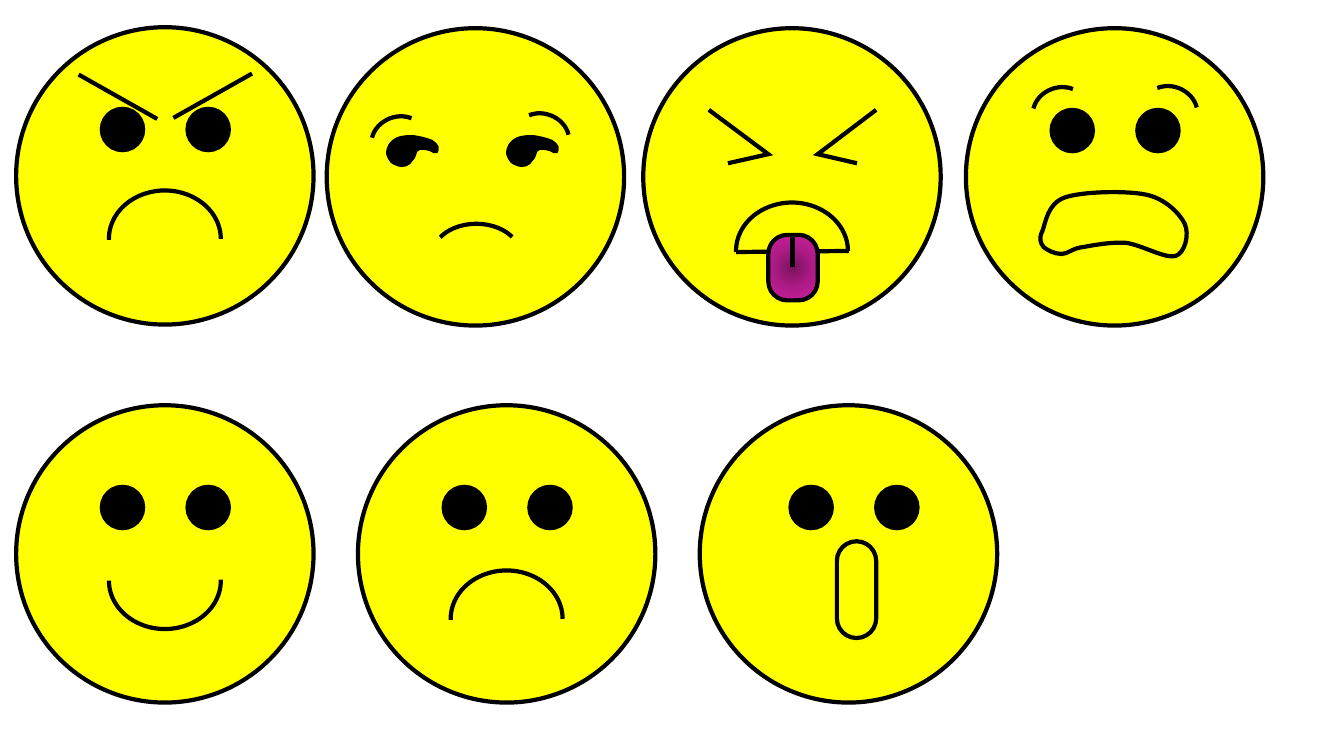
from math import cos, radians, sin

from lxml.etree import SubElement
from pptx import Presentation
from pptx.dml.color import RGBColor
from pptx.enum.shapes import MSO_CONNECTOR as LINE, MSO_SHAPE as SHAPE
from pptx.oxml import parse_xml
from pptx.oxml.ns import nsdecls, qn
from pptx.util import Inches, Pt

YELLOW, BLACK = "FFFF00", "000000"
TONGUE_STOPS = [(0, "7B135F"), (50, "AF1B87"), (100, "CF21A0")]
FACE_SIZE, EYE_SIZE, EYE_GAP = 2.95, 0.41, 0.85
MOUTH_SIZE, BROW_SIZE = (1.11, 0.96), (0.54, 0.46)
HALF_ARC, BROW_ARC, FROWN_ARC = (107.324, 0), (130.363, 200.208, 0), (123.699, 199.899)

SIDE_EYE = [
    (0.86, 1.06),
    (0.92, 1.07), (0.98, 1.08), (1.05, 1.11),
    (1.08, 1.13), (1.10, 1.15), (1.11, 1.17),
    (1.11, 1.18), (1.11, 1.20), (1.11, 1.21),
    (1.11, 1.23), (1.10, 1.24), (1.09, 1.24),
    (1.08, 1.24), (1.07, 1.24), (1.06, 1.24),
    (1.03, 1.22), (1.00, 1.21), (0.98, 1.21),
    (0.95, 1.20), (0.94, 1.21), (0.92, 1.21),
    (0.90, 1.22), (0.89, 1.23), (0.89, 1.25),
    (0.88, 1.28), (0.87, 1.31), (0.85, 1.32),
    (0.84, 1.34), (0.82, 1.36), (0.79, 1.37),
    (0.75, 1.38), (0.71, 1.38), (0.68, 1.36),
    (0.64, 1.35), (0.62, 1.32), (0.60, 1.28),
    (0.58, 1.24), (0.59, 1.20), (0.61, 1.16),
    (0.63, 1.12), (0.66, 1.10), (0.70, 1.08),
    (0.75, 1.06), (0.81, 1.06), (0.86, 1.06),
]
SCARED_MOUTH = [
    (0.76, 2.01),
    (0.79, 1.93), (0.81, 1.74), (0.98, 1.68),
    (1.15, 1.62), (1.58, 1.61), (1.78, 1.65),
    (1.98, 1.69), (2.12, 1.84), (2.17, 1.94),
    (2.22, 2.05), (2.17, 2.23), (2.08, 2.26),
    (1.98, 2.29), (1.74, 2.15), (1.59, 2.13),
    (1.44, 2.12), (1.28, 2.15), (1.17, 2.17),
    (1.06, 2.18), (1.01, 2.24), (0.95, 2.24),
    (0.88, 2.24), (0.80, 2.20), (0.77, 2.17),
    (0.74, 2.13), (0.72, 2.09), (0.76, 2.01),
]


def color(value):
    return RGBColor.from_string(value)


def draw_line(shape):
    shape.line.color.rgb = color(BLACK)
    shape.line.width = Pt(3)
    SubElement(shape._element.spPr.find(qn("a:ln")), qn("a:miter"), lim="800000")


def paint(shape, fill=None, outlined=True):
    shape.shadow.inherit = False
    if fill:
        shape.fill.solid()
        shape.fill.fore_color.rgb = color(fill)
    else:
        shape.fill.background()
    if outlined:
        draw_line(shape)
    else:
        shape.line.fill.background()


def turn(point, center, degrees):
    angle = radians(degrees)
    dx, dy = point[0] - center[0], point[1] - center[1]
    return (center[0] + dx * cos(angle) - dy * sin(angle),
            center[1] + dx * sin(angle) + dy * cos(angle))


class Face:
    def __init__(self, page, left, top):
        self.left, self.top = left, top
        self.shapes = page.shapes.add_group_shape().shapes
        self.add(SHAPE.OVAL, 0, 0, FACE_SIZE, FACE_SIZE, YELLOW)

    def point(self, x, y):
        return Inches(self.left + x), Inches(self.top + y)

    def add(self, kind, x, y, width, height, fill=None, adjust=(), rotation=0):
        shape = self.shapes.add_shape(kind, *self.point(x, y), Inches(width), Inches(height))
        for i, value in enumerate(adjust):
            shape.adjustments[i] = value
        shape.rotation = rotation
        paint(shape, fill)
        return shape

    def line(self, start, end):
        connector = self.shapes.add_connector(
            LINE.STRAIGHT, *self.point(*start), *self.point(*end))
        draw_line(connector)
        SubElement(connector._element.spPr, qn("a:effectLst"))

    def outline(self, points, closed=False):
        start, *rest = [self.point(*p) for p in points]
        builder = self.shapes.build_freeform(*start, scale=1.0)
        builder.add_line_segments(rest, close=closed)
        shape = builder.convert_to_shape()
        paint(shape)
        return shape

    def curve(self, points, x, y, width, height, rotation=0):
        shape = self.outline(points[::3], closed=True)
        shape.left, shape.top = self.point(x, y)
        shape.width, shape.height = Inches(width), Inches(height)
        shape.rotation = rotation
        center = (x + width / 2, y + height / 2)
        local = [turn(p, center, -rotation) for p in points]
        spots = [{"x": str(Inches(px - x)), "y": str(Inches(py - y))} for px, py in local]
        contour = next(shape._element.iter(qn("a:path")))
        contour.clear()
        contour.set("w", str(shape.width))
        contour.set("h", str(shape.height))
        SubElement(SubElement(contour, qn("a:moveTo")), qn("a:pt"), spots[0])
        for i in range(1, len(spots), 3):
            bend = SubElement(contour, qn("a:cubicBezTo"))
            for spot in spots[i:i + 3]:
                SubElement(bend, qn("a:pt"), spot)
        SubElement(contour, qn("a:close"))
        return shape

    def eyes(self, x=0.85):
        for left in (x, x + EYE_GAP):
            self.add(SHAPE.OVAL, left, 0.81, EYE_SIZE, EYE_SIZE, BLACK)

    def right_brow(self, x, y):
        self.add(SHAPE.BLOCK_ARC, x, y, *BROW_SIZE, adjust=BROW_ARC, rotation=21.3)

    def left_brow(self, x, y):
        brow = self.add(SHAPE.BLOCK_ARC, x, y, *BROW_SIZE, adjust=BROW_ARC, rotation=338.7)
        brow._element.spPr.xfrm.set("flipH", "1")

    def mouth(self, y, rotation=0):
        self.add(SHAPE.ARC, 0.92, y, *MOUTH_SIZE, adjust=HALF_ARC, rotation=rotation)


def tongue(face):
    shape = face.add(SHAPE.ROUNDED_RECTANGLE, 1.24, 2.05, 0.49, 0.65, adjust=[0.385])
    stops = "".join(f'<a:gs pos="{pos * 1000}"><a:srgbClr val="{value}"/></a:gs>'
                    for pos, value in TONGUE_STOPS)
    gradient = parse_xml(
        f'<a:gradFill {nsdecls("a")}><a:gsLst>{stops}</a:gsLst><a:path path="circle">'
        '<a:fillToRect l="50000" t="50000" r="50000" b="50000"/></a:path></a:gradFill>')
    properties = shape._element.spPr
    properties.replace(properties.find(qn("a:noFill")), gradient)
    face.line((1.48, 2.37), (1.48, 2.05))


def angry(face):
    face.eyes()
    face.line((0.62, 0.47), (1.40, 0.91))
    face.line((2.34, 0.46), (1.56, 0.90))
    face.mouth(1.62)


def unamused(face):
    face.right_brow(1.87, 0.85)
    face.add(SHAPE.ARC, 1.05, 1.94, 0.87, 0.62, adjust=FROWN_ARC)
    face.left_brow(0.44, 0.88)
    for shift in (0, 1.19):
        points = [(x + shift, y) for x, y in SIDE_EYE]
        eye = face.curve(points, 0.69 + shift, 0.93, 0.30, 0.51, rotation=69.2)
        eye.fill.solid()
        eye.fill.fore_color.rgb = color(BLACK)
        eye.line.fill.background()


def disgusted(face):
    face.outline([(2.31, 0.81), (1.73, 1.25), (2.12, 1.34)])
    face.outline([(0.65, 0.81), (1.24, 1.25), (0.84, 1.34)])
    face.mouth(1.73)
    face.line((2.04, 2.21), (0.92, 2.22))
    tongue(face)


def scared(face):
    face.eyes()
    face.curve(SCARED_MOUTH, 0.74, 1.62, 1.45, 0.64)
    face.right_brow(1.76, 0.58)
    face.left_brow(0.66, 0.59)


def happy(face):
    face.eyes()
    face.mouth(1.26, rotation=180)


def sad(face):
    face.eyes()
    face.mouth(1.64)


def surprised(face):
    face.add(SHAPE.ROUNDED_RECTANGLE, 1.36, 1.35, 0.39, 0.96, adjust=[0.5])
    face.eyes(0.90)


deck = Presentation()
deck.slide_width, deck.slide_height = Inches(13.33), Inches(7.5)
page = deck.slides.add_slide(deck.slide_layouts[6])
faces = [(disgusted, 6.38, 0.28), (sad, 3.55, 4.02), (happy, 0.16, 4.02), (angry, 0.16, 0.27),
         (surprised, 6.94, 4.02), (scared, 9.58, 0.28), (unamused, 3.24, 0.28)]
for mood, left, top in faces:
    mood(Face(page, left, top))
deck.save("out.pptx")
